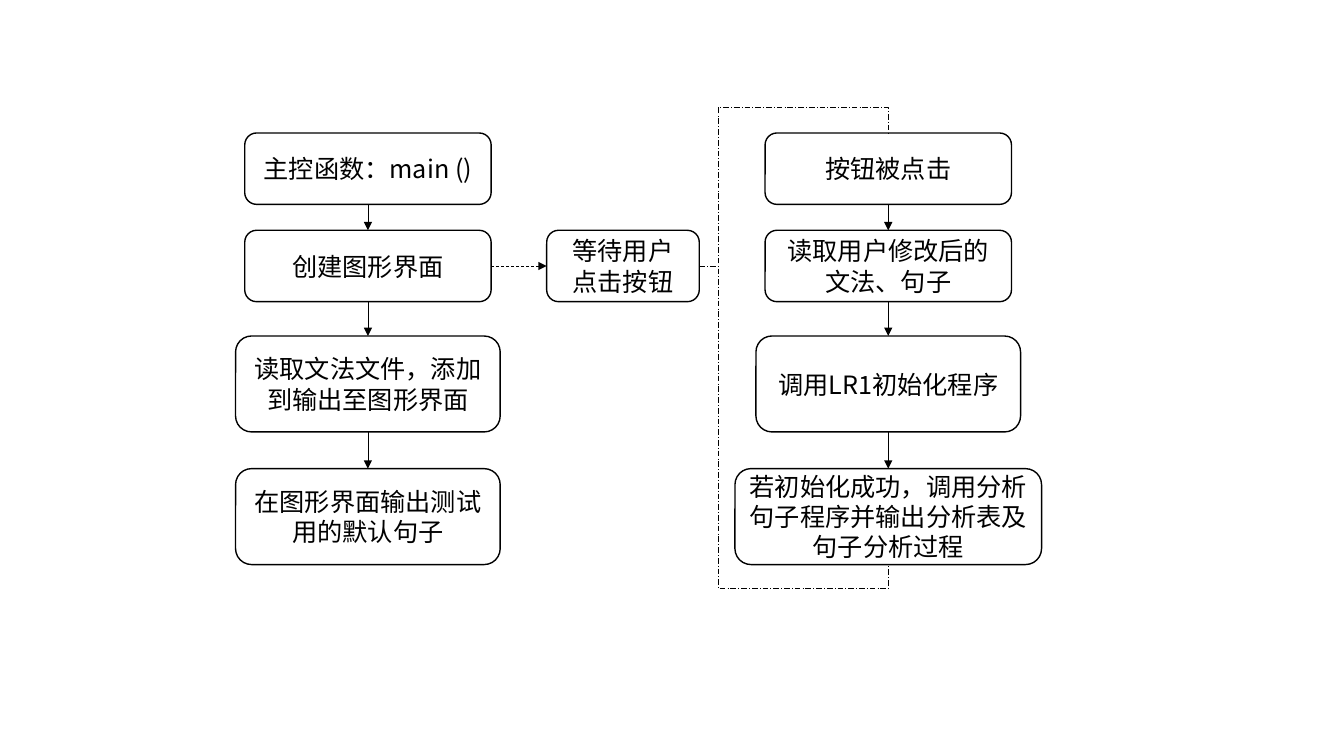
from dataclasses import dataclass
from itertools import pairwise

from pptx import Presentation
from pptx.dml.color import RGBColor
from pptx.enum.dml import MSO_LINE as Dash
from pptx.enum.shapes import MSO_CONNECTOR as Link, MSO_SHAPE as Preset
from pptx.enum.text import MSO_ANCHOR as Anchor, PP_ALIGN as Align
from pptx.oxml.ns import qn
from pptx.util import Pt
from lxml.etree import SubElement

TOP, LEFT, BOTTOM, RIGHT = range(4)


@dataclass(frozen=True)
class Theme:
    ink: RGBColor = RGBColor(0, 0, 0)
    paper: RGBColor = RGBColor(255, 255, 255)
    font: str = "Noto Sans CJK SC"
    size: float = 18
    border: float = 1
    wire: float = 0.5


def write(frame, text, *, font, size, color, align=Align.CENTER):
    frame.word_wrap = True
    frame.vertical_anchor = Anchor.MIDDLE
    paragraph = frame.paragraphs[0]
    paragraph.alignment = align
    run = paragraph.add_run()
    run.text = text
    run.font.name = font
    run.font.size = Pt(size)
    run.font.color.rgb = color
    SubElement(run.font._element, qn("a:ea"), typeface=font)


class FlowSlide:
    def __init__(self, slide, theme):
        self.shapes = slide.shapes
        self.theme = theme

    def step(self, text, center, top, width, height):
        box = self.shapes.add_shape(
            Preset.ROUNDED_RECTANGLE, Pt(center - width / 2), Pt(top), Pt(width), Pt(height))
        box.shadow.inherit = False
        box.fill.solid()
        box.fill.fore_color.rgb = self.theme.paper
        box.line.color.rgb = self.theme.ink
        box.line.width = Pt(self.theme.border)
        write(box.text_frame, text, font=self.theme.font,
              size=self.theme.size, color=self.theme.ink)
        return box

    def connect(self, source, target, sites, kind=Link.STRAIGHT, dash=None):
        wire = self.shapes.add_connector(kind, 0, 0, 0, 0)
        wire.begin_connect(source, sites[0])
        wire.end_connect(target, sites[1])
        wire.line.color.rgb = self.theme.ink
        wire.line.width = Pt(self.theme.wire)
        if dash:
            wire.line.dash_style = dash
        SubElement(wire._element.spPr, qn("a:effectLst"))
        return wire

    def arrow(self, source, target, sites=(BOTTOM, TOP), dash=None):
        wire = self.connect(source, target, sites, dash=dash)
        SubElement(wire.line._get_or_add_ln(), qn("a:tailEnd"), type="triangle")

    def detour(self, source, target, site, bends):
        wire = self.connect(source, target, (RIGHT, site), Link.ELBOW, Dash.LONG_DASH_DOT)
        geometry = wire._element.spPr.find(qn("a:prstGeom"))
        geometry.set("prst", "bentConnector4")
        guides = geometry.find(qn("a:avLst"))
        for number, bend in enumerate(bends, 1):
            SubElement(guides, qn("a:gd"), name=f"adj{number}",
                       fmla=f"val {round(bend * 100000)}")

    def column(self, center, texts, rows, widths):
        steps = [self.step(text, center, top, width, height)
                 for text, (top, height), width in zip(texts, rows, widths)]
        for upper, lower in pairwise(steps):
            self.arrow(upper, lower)
        return steps


deck = Presentation()
deck.slide_width, deck.slide_height = Pt(960), Pt(540)
flow = FlowSlide(deck.slides.add_slide(deck.slide_layouts[6]), Theme())

rows = [(95, 51), (164.5, 51), (240, 68.5), (334.75, 68.5)]
startup = flow.column(
    262.8,
    ["主控函数：main ()", "创建图形界面",
     "读取文法文件，添加到输出至图形界面", "在图形界面输出测试用的默认句子"],
    rows, [176, 176, 189, 189])
response = flow.column(
    634.5,
    ["按钮被点击", "读取用户修改后的文法、句子",
     "调用LR1初始化程序", "若初始化成功，调用分析句子程序并输出分析表及句子分析过程"],
    rows, [176, 176, 189, 219])

waiting = flow.step("等待用户点击按钮", 445, *rows[1][:1], 109, rows[1][1])
flow.arrow(startup[1], waiting, (RIGHT, LEFT), Dash.DASH)
flow.detour(waiting, response[0], TOP, (0.1, 1.19))
flow.detour(waiting, response[-1], BOTTOM, (0.1, 1.08))

deck.save("out.pptx")
